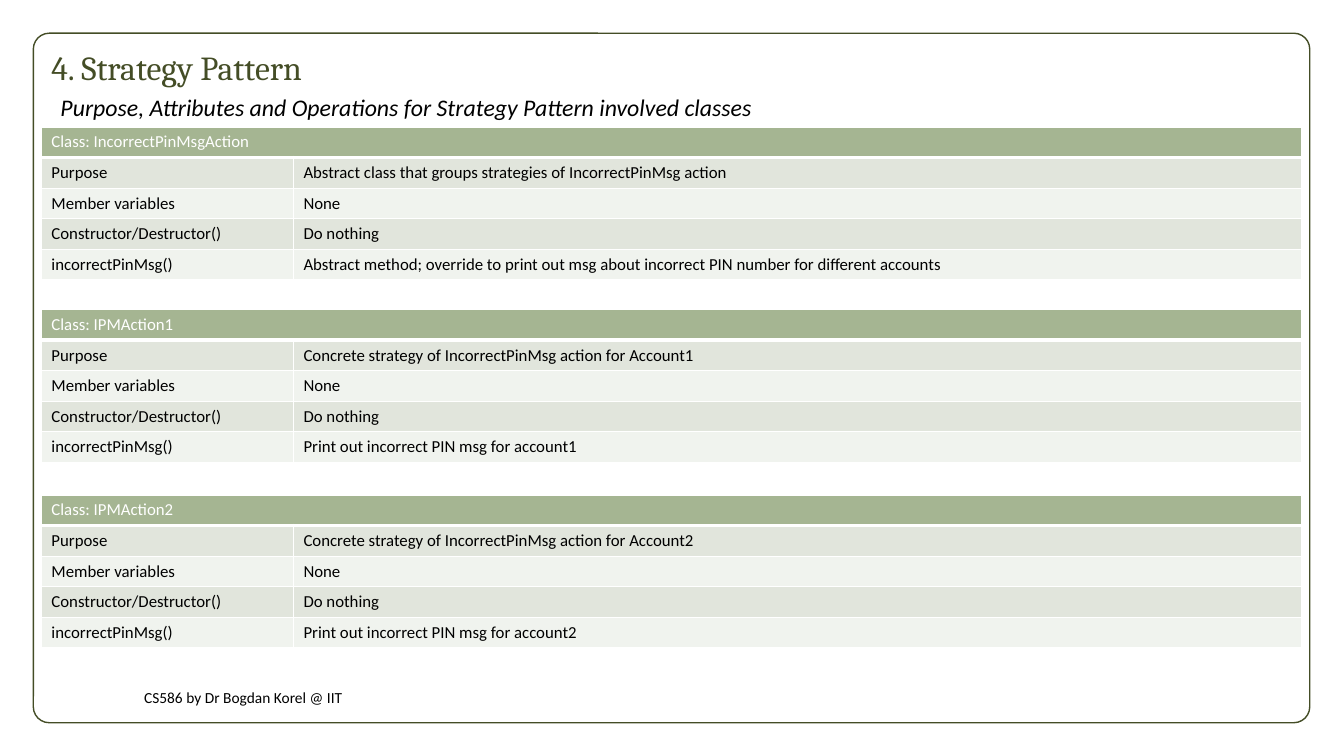
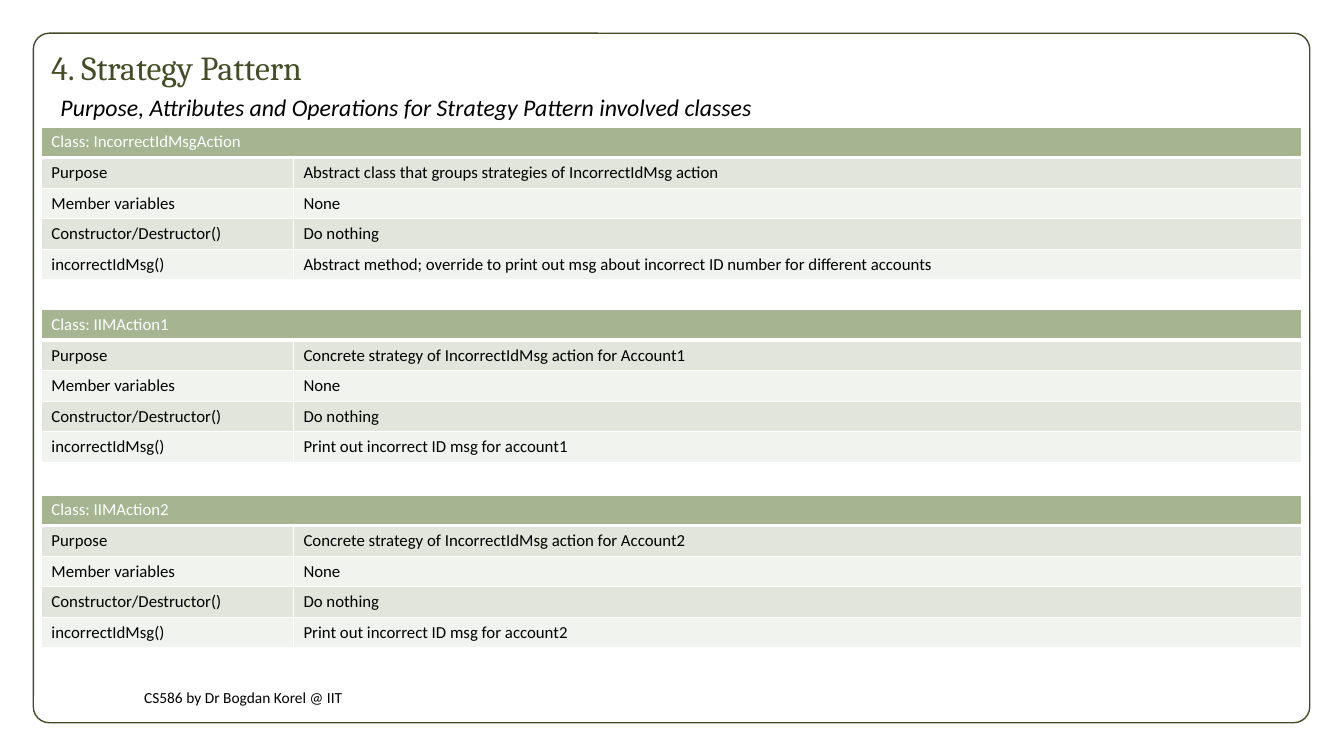
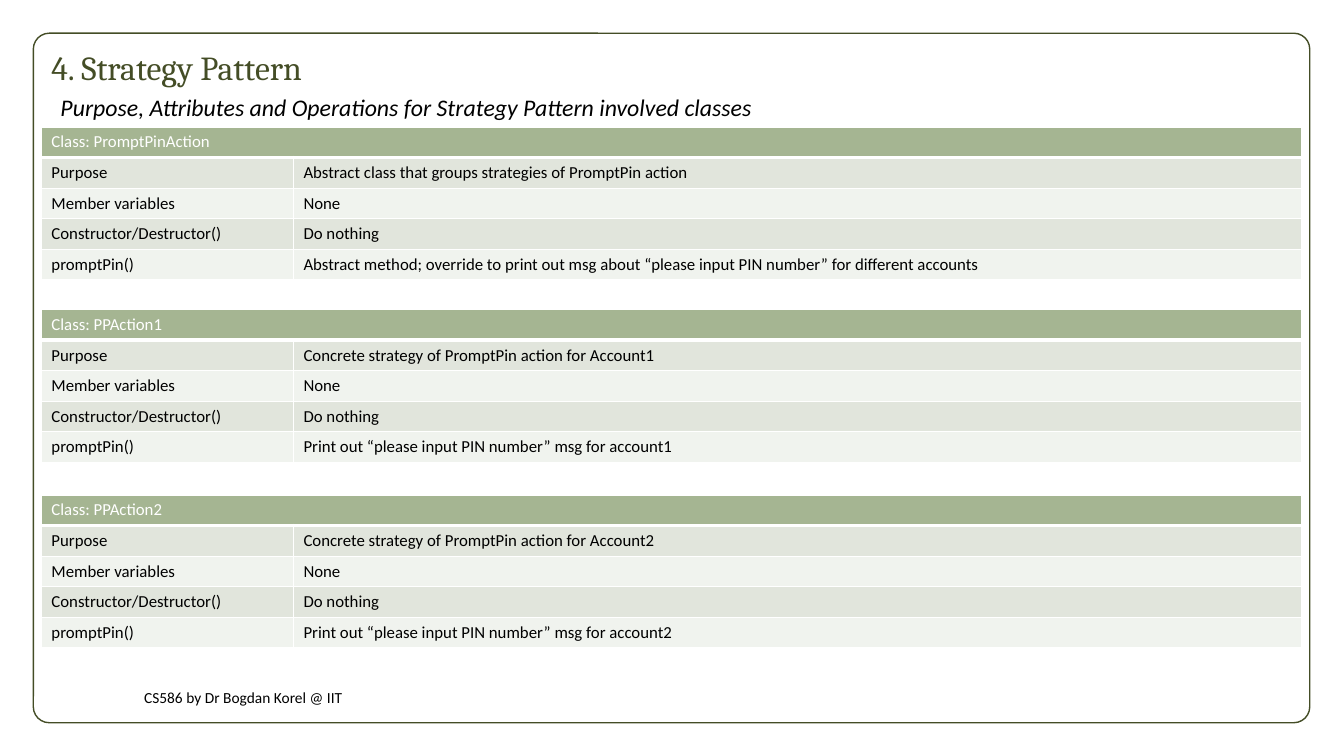
from dataclasses import dataclass

from lxml.etree import SubElement
from pptx import Presentation
from pptx.dml.color import RGBColor
from pptx.enum.shapes import MSO_SHAPE as Shape
from pptx.enum.text import MSO_ANCHOR as Anchor, MSO_AUTO_SIZE as AutoSize, PP_ALIGN as Align
from pptx.oxml.ns import qn
from pptx.util import Inches, Pt

SLIDE_WIDTH, SLIDE_HEIGHT = Inches(13.33), Inches(7.5)
COLORS = {
    "olive": "444D26",
    "header": "A5B592",
    "band_dark": "E1E5DC",
    "band_light": "F0F3EE",
    "white": "FFFFFF",
    "black": "000000",
}
BODY_FONT, TITLE_FONT = "Calibri", "Cambria"

FRAME_BOX = (2.48, 4.4, 94.97, 91.2)
TITLE_BOX = (3.08, 5.6, 79.97, 7.07)
SUBTITLE_BOX = (3.75, 12.6, 86.87, 4.13)
FOOTER_BOX = (9.98, 90, 60.84, 4.4)
TABLE_LEFT, TABLE_WIDTH, TABLE_HEIGHT = 3.08, 93.77, 20
TABLE_TOPS = (16.8, 40.93, 65.47)
LABEL_SHARE = 0.2

TITLE = "4. Strategy Pattern"
SUBTITLE = "Purpose, Attributes and Operations for Strategy Pattern involved classes"
FOOTER = "CS586 by Dr Bogdan Korel @ IIT"


@dataclass
class Action:
    name: str
    prefix: str
    message: str
    subject: str

    def tables(self):
        yield self.rows(
            f"{self.name}Action",
            f"Abstract class that groups strategies of {self.name} action",
            f"Abstract method; override to print out msg about {self.subject} for different accounts",
        )
        for number in (1, 2):
            yield self.rows(
                f"{self.prefix}Action{number}",
                f"Concrete strategy of {self.name} action for Account{number}",
                f"Print out {self.message} msg for account{number}",
            )

    def rows(self, class_name, purpose, behaviour):
        method = self.name[0].lower() + self.name[1:]
        return [
            (f"Class: {class_name}",),
            ("Purpose", purpose),
            ("Member variables", "None"),
            ("Constructor/Destructor()", "Do nothing"),
            (f"{method}()", behaviour),
        ]


ACTIONS = (
    Action("IncorrectPinMsg", "IPM", "incorrect PIN", "incorrect PIN number"),
    Action("IncorrectIdMsg", "IIM", "incorrect ID", "incorrect ID number"),
    Action("PromptPin", "PP", "“please input PIN number”", "“please input PIN number”"),
)


def color(name):
    return RGBColor.from_string(COLORS[name])


def to_lengths(box):
    sizes = (SLIDE_WIDTH, SLIDE_HEIGHT) * 2
    return [round(size * percent / 100) for size, percent in zip(sizes, box)]


def write(text_frame, text, size, color_name="black", font_name=BODY_FONT, italic=False):
    text_frame.text = text
    paragraph = text_frame.paragraphs[0]
    paragraph.alignment = Align.LEFT
    for run in paragraph.runs:
        font = run.font
        font.name, font.size, font.italic = font_name, Pt(size), italic
        font.color.rgb = color(color_name)
    return paragraph


def prepare_text(shape, box, anchor):
    shape.left, shape.top, shape.width, shape.height = to_lengths(box)
    text_frame = shape.text_frame
    text_frame.word_wrap = True
    text_frame.auto_size = AutoSize.NONE
    text_frame.vertical_anchor = anchor
    return text_frame


def move_frame_to_layout(slide):
    frame = slide.shapes.add_shape(Shape.ROUNDED_RECTANGLE, *to_lengths(FRAME_BOX))
    frame.adjustments[0] = 0.023
    frame.shadow.inherit = False
    frame.fill.solid()
    frame.fill.fore_color.rgb = color("white")
    frame.line.color.rgb = color("olive")
    frame.line.width = Pt(1)
    layout_shapes = slide.slide_layout.shapes
    frame.element.nvSpPr.cNvPr.id = max(shape.shape_id for shape in layout_shapes) + 1
    layout_shapes.element.insert(2, frame.element)


def add_headings(slide):
    title = prepare_text(slide.shapes.title, TITLE_BOX, Anchor.TOP)
    write(title, TITLE, 24, "olive", TITLE_FONT)
    subtitle = prepare_text(slide.placeholders[1], SUBTITLE_BOX, Anchor.TOP)
    paragraph = write(subtitle, SUBTITLE, 17, italic=True)
    properties = paragraph._p.get_or_add_pPr()
    properties.set("marL", "0")
    properties.set("indent", "0")
    SubElement(properties, qn("a:buNone"))
    paragraph.line_spacing = 0.7
    paragraph.space_before = Pt(0)


def add_footer(slide):
    footer = slide.shapes.add_textbox(*to_lengths(FOOTER_BOX))
    write(prepare_text(footer, FOOTER_BOX, Anchor.MIDDLE), FOOTER, 11)


def set_borders(cell, top=1, bottom=1):
    properties = cell._tc.get_or_add_tcPr()
    for side, width in (("L", 1), ("R", 1), ("T", top), ("B", bottom)):
        line = SubElement(properties, qn(f"a:ln{side}"), w=str(Pt(width)))
        fill = SubElement(line, qn("a:solidFill"))
        SubElement(fill, qn("a:srgbClr"), val=COLORS["white"])


def add_class_table(slide, top, rows):
    left, top, width, height = to_lengths((TABLE_LEFT, top, TABLE_WIDTH, TABLE_HEIGHT))
    table = slide.shapes.add_table(len(rows), 2, left, top, width, height).table
    table.first_row = table.horz_banding = False
    for column, share in zip(table.columns, (LABEL_SHARE, 1 - LABEL_SHARE)):
        column.width = round(width * share)
    table.cell(0, 0).merge(table.cell(0, 1))
    for row_index, texts in enumerate(rows):
        is_header = row_index == 0
        band = "header" if is_header else ("band_light", "band_dark")[row_index % 2]
        for column_index, text in enumerate(texts):
            cell = table.cell(row_index, column_index)
            set_borders(cell, top=3 if row_index == 1 else 1, bottom=3 if is_header else 1)
            cell.fill.solid()
            cell.fill.fore_color.rgb = color(band)
            write(cell.text_frame, text, 12, "white" if is_header else "black")


def add_action_slide(presentation, action):
    slide = presentation.slides.add_slide(presentation.slide_layouts[1])
    add_headings(slide)
    add_footer(slide)
    for top, rows in zip(TABLE_TOPS, action.tables()):
        add_class_table(slide, top, rows)
    return slide


def main():
    presentation = Presentation()
    presentation.slide_width, presentation.slide_height = SLIDE_WIDTH, SLIDE_HEIGHT
    slides = [add_action_slide(presentation, action) for action in ACTIONS]
    move_frame_to_layout(slides[0])
    presentation.save("out.pptx")


if __name__ == "__main__":
    main()
